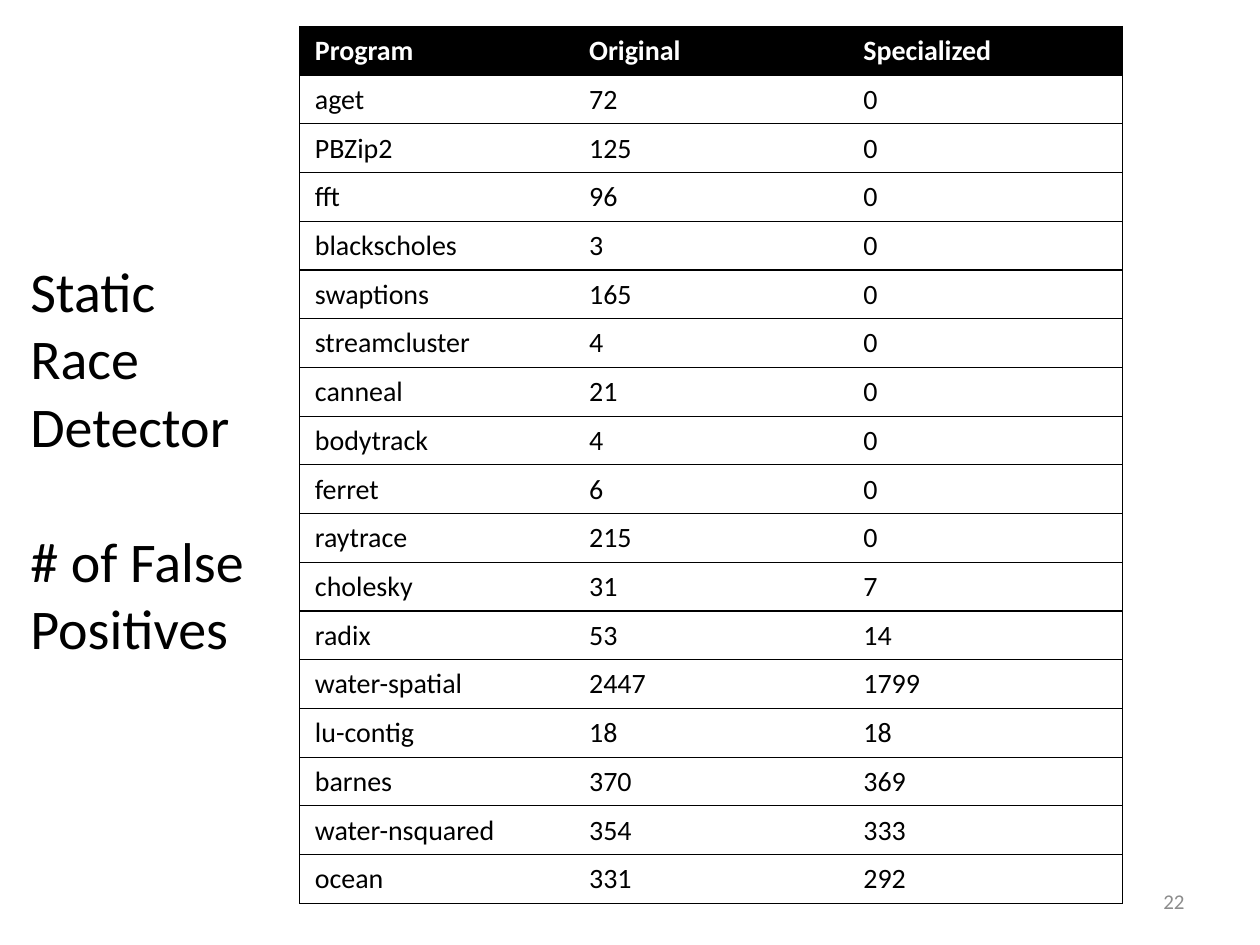
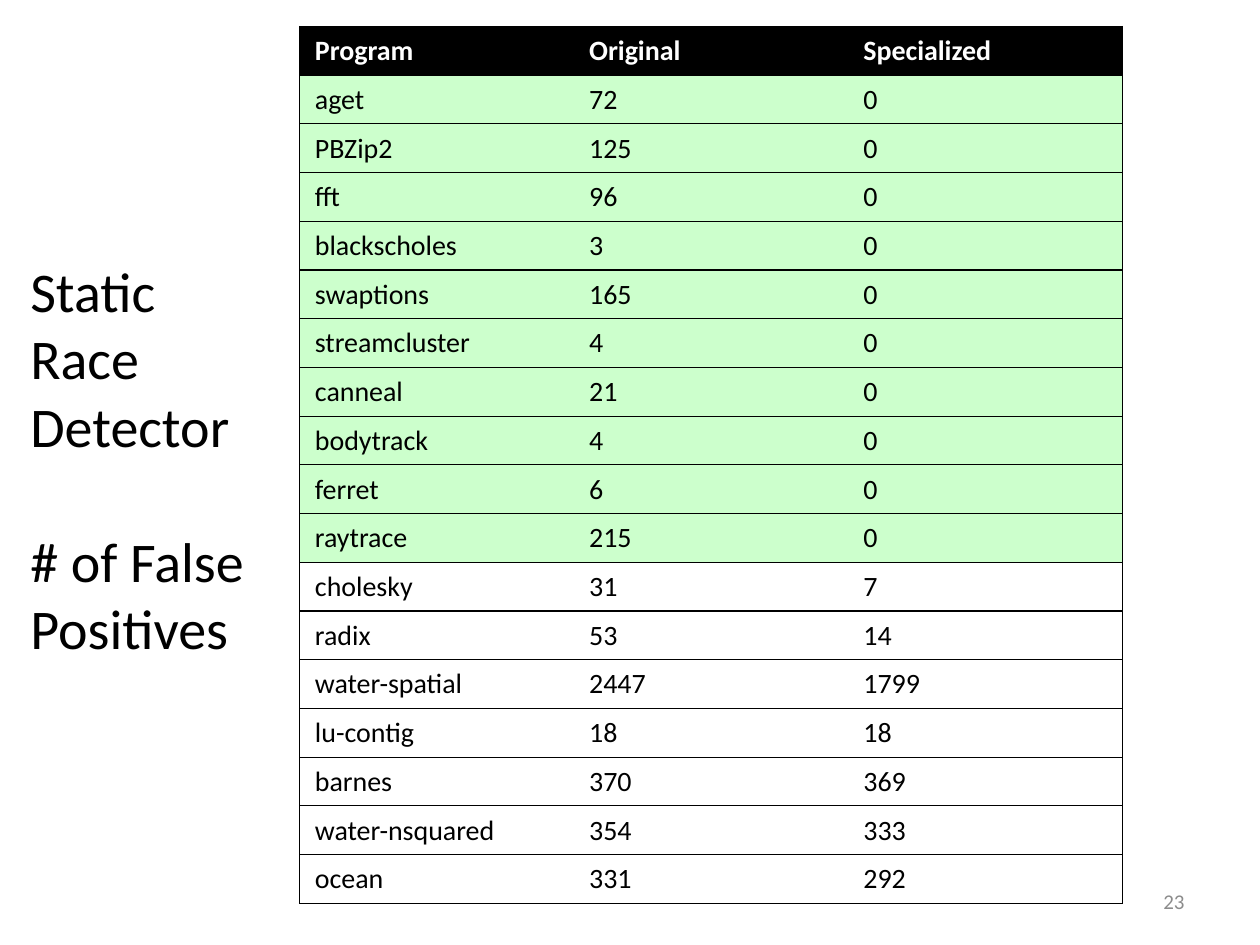
from lxml import etree
from pptx import Presentation
from pptx.dml.color import RGBColor
from pptx.enum.text import MSO_ANCHOR, MSO_AUTO_SIZE, PP_ALIGN
from pptx.oxml.ns import qn
from pptx.util import Inches, Pt

LEFT, RIGHT = PP_ALIGN.LEFT, PP_ALIGN.RIGHT
TOP, MIDDLE = MSO_ANCHOR.TOP, MSO_ANCHOR.MIDDLE
NO_AUTOFIT = MSO_AUTO_SIZE.NONE

BLACK = RGBColor(0x00, 0x00, 0x00)
WHITE = RGBColor(0xFF, 0xFF, 0xFF)
GREY = RGBColor(0x8C, 0x8C, 0x8C)
GREEN = RGBColor(0xCC, 0xFF, 0xCC)

HEADER = ("Program", "Original", "Specialized")
FALSE_POSITIVES = [
    ("aget", 72, 0),
    ("PBZip2", 125, 0),
    ("fft", 96, 0),
    ("blackscholes", 3, 0),
    ("swaptions", 165, 0),
    ("streamcluster", 4, 0),
    ("canneal", 21, 0),
    ("bodytrack", 4, 0),
    ("ferret", 6, 0),
    ("raytrace", 215, 0),
    ("cholesky", 31, 7),
    ("radix", 53, 14),
    ("water-spatial", 2447, 1799),
    ("lu-contig", 18, 18),
    ("barnes", 370, 369),
    ("water-nsquared", 354, 333),
    ("ocean", 331, 292),
]
TITLE_GROUPS = [("Static", "Race", "Detector"), ("# of False", "Positives")]


class Deck:
    """Holds the shared style and the current slide; places are inches on a 10 by 7.5 page."""

    font_name = "Calibri"
    title_size, table_size, number_size = Pt(32), Pt(16), Pt(12)
    title_group_gap = Pt(39)
    rule_width = Pt(0.75)

    def __init__(self):
        self.presentation = Presentation()
        self.presentation.slide_width = Inches(10)
        self.presentation.slide_height = Inches(7.5)
        self.slide = None

    def add_slide(self):
        title_only = self.presentation.slide_layouts[5]
        self.slide = self.presentation.slides.add_slide(title_only)

    def box(self, left, top, width, height):
        """Turn shares of the slide's size into lengths."""
        across, down = self.presentation.slide_width, self.presentation.slide_height
        return (round(left * across), round(top * down),
                round(width * across), round(height * down))

    def style(self, paragraph, size, color, bold=False, align=LEFT):
        paragraph.alignment = align
        font = paragraph.font
        font.name, font.size, font.bold = self.font_name, size, bold
        font.color.rgb = color

    def title(self, groups):
        """Stack the title lines, with one line of space between groups."""
        shape = self.slide.shapes.title
        shape.left, shape.top, shape.width, shape.height = self.box(0.014, 0.265, 0.21, 0.444)
        frame = shape.text_frame
        frame.word_wrap, frame.auto_size, frame.vertical_anchor = True, NO_AUTOFIT, TOP
        frame.text = "\n".join(line for group in groups for line in group)
        group_starts = {group[0] for group in groups[1:]}
        for paragraph in frame.paragraphs:
            self.style(paragraph, self.title_size, BLACK)
            if paragraph.text in group_starts:
                paragraph.space_before = self.title_group_gap

    def slide_number(self, number):
        shape = self.slide.shapes.add_textbox(*self.box(0.717, 0.927, 0.233, 0.053))
        frame = shape.text_frame
        frame.word_wrap, frame.vertical_anchor = True, MIDDLE
        frame.text = str(number)
        self.style(frame.paragraphs[0], self.number_size, GREY, align=RIGHT)

    def rule(self, cell, side, visible):
        """Draw or hide one border of a cell; call in the order L, R, T, B."""
        line = etree.SubElement(cell._tc.get_or_add_tcPr(), qn(f"a:ln{side}"),
                                w=str(self.rule_width))
        if visible:
            fill = etree.SubElement(line, qn("a:solidFill"))
            etree.SubElement(fill, qn("a:srgbClr"), val=str(BLACK))
        else:
            etree.SubElement(line, qn("a:noFill"))

    def cell(self, cell, value, fill, color, bold):
        cell.margin_left = cell.margin_right = Inches(0.12)
        cell.margin_top = cell.margin_bottom = Inches(0.06)
        cell.fill.solid()
        cell.fill.fore_color.rgb = fill
        cell.text = str(value)
        self.style(cell.text_frame.paragraphs[0], self.table_size, color, bold)

    def table(self, header, records, zero_fill):
        """Add the results table; rows that end in zero get zero_fill."""
        rows = [header, *records]
        last_column = len(header) - 1
        frame = self.slide.shapes.add_table(
            len(rows), len(header), *self.box(0.238, 0.028, 0.653, 0.924))
        table = frame.table
        table.horz_banding = False
        for row_index, values in enumerate(rows):
            is_header = row_index == 0
            if is_header:
                fill, color = BLACK, WHITE
            else:
                fill, color = (zero_fill if values[-1] == 0 else WHITE), BLACK
            for column_index, value in enumerate(values):
                cell = table.cell(row_index, column_index)
                self.rule(cell, "L", column_index == 0)
                self.rule(cell, "R", column_index == last_column)
                self.rule(cell, "T", True)
                self.rule(cell, "B", True)
                self.cell(cell, value, fill, color, is_header)


def main():
    deck = Deck()
    for number, zero_fill in ((22, WHITE), (23, GREEN)):
        deck.add_slide()
        deck.slide_number(number)
        deck.table(HEADER, FALSE_POSITIVES, zero_fill)
        deck.title(TITLE_GROUPS)
    deck.presentation.save("out.pptx")


if __name__ == "__main__":
    main()
